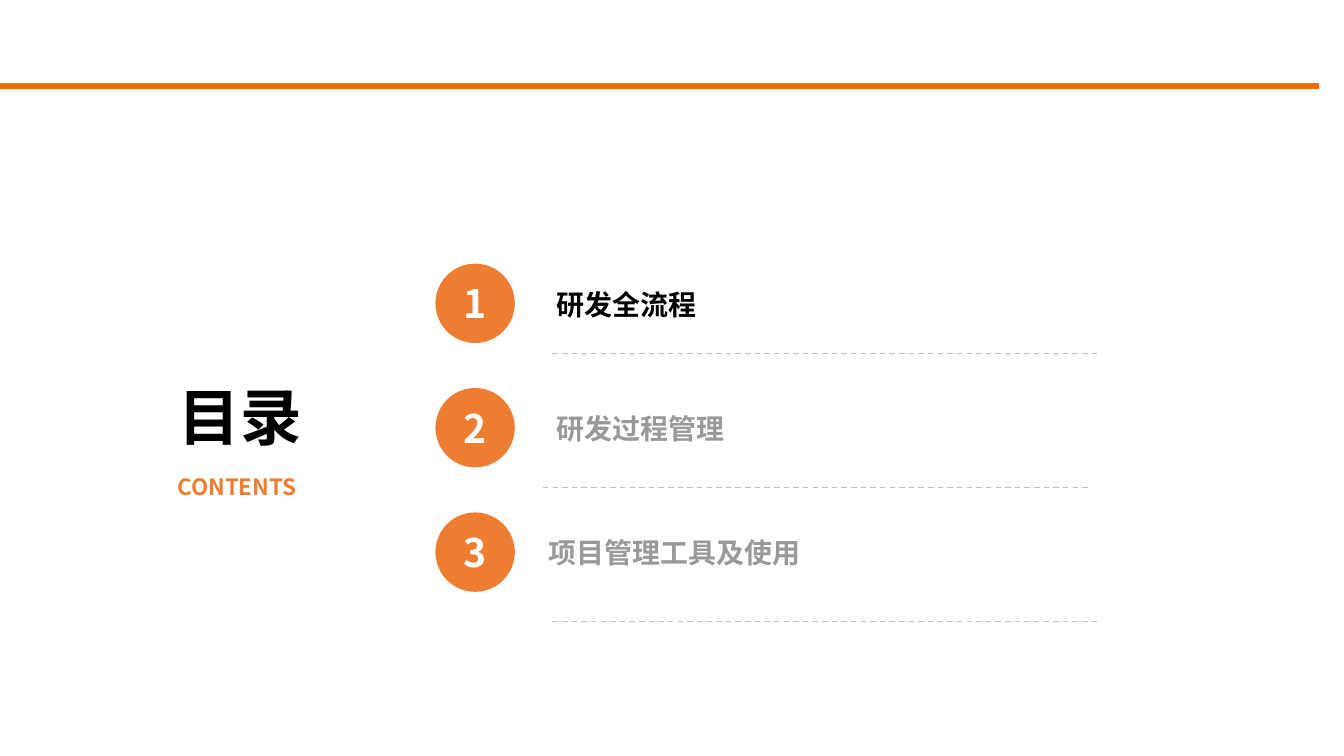
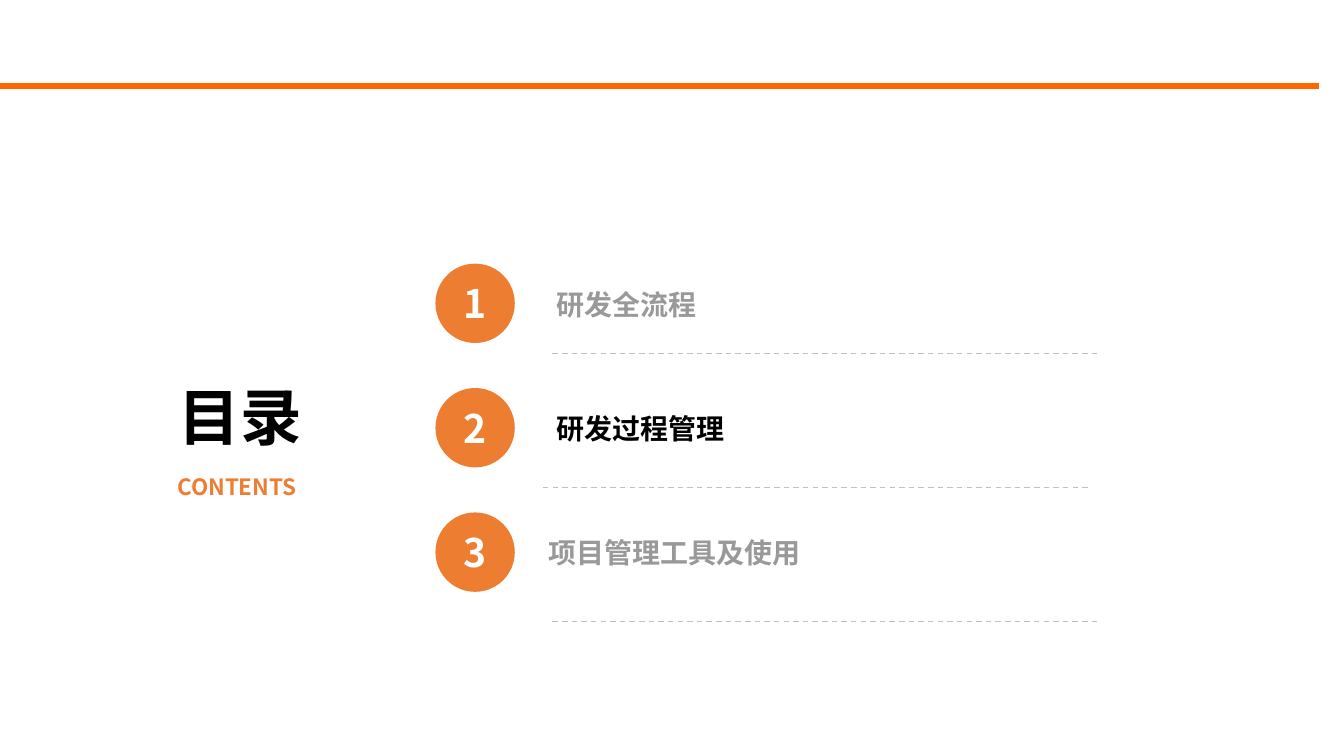
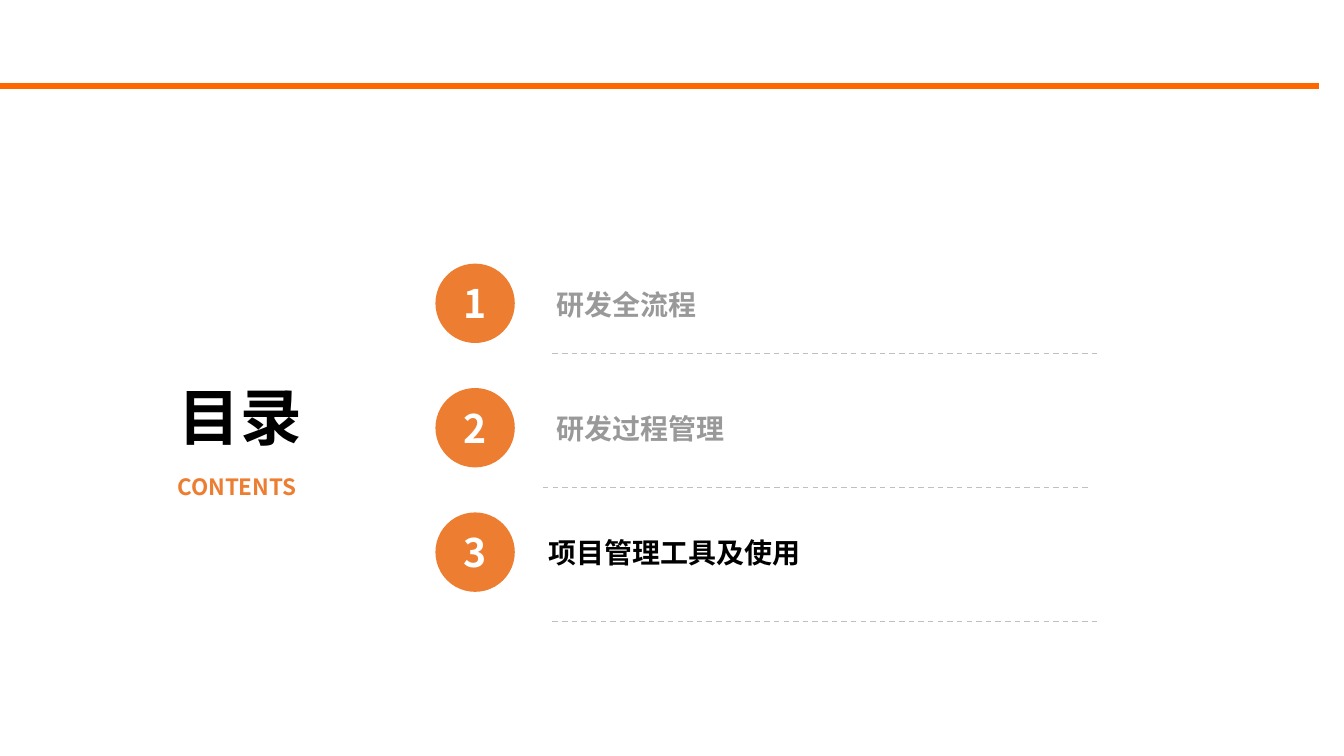
from dataclasses import dataclass

from lxml import etree
from pptx import Presentation
from pptx.dml.color import RGBColor
from pptx.enum import dml, shapes, text
from pptx.oxml.ns import qn
from pptx.slide import Slide
from pptx.text.text import TextFrame
from pptx.util import Cm, Length, Pt

FONT = "Noto Sans CJK SC"
BLACK = RGBColor(0x00, 0x00, 0x00)
WHITE = RGBColor(0xFF, 0xFF, 0xFF)
MUTED = RGBColor(0x99, 0x99, 0x99)
RULE_GREY = RGBColor(0xBF, 0xBF, 0xBF)
ORANGE = RGBColor(0xED, 0x7D, 0x31)
BAND_ORANGE = RGBColor(0xFF, 0x66, 0x00)

INSET = Cm(0.1)
BADGE_LEFT, BADGE_TOP, BADGE_SIZE = Cm(8.23), Cm(4.98), Cm(1.5)
CHAPTER_PITCH = Cm(2.35)
LABEL_DROP, LABEL_HEIGHT = Cm(0.24), Cm(0.94)
RULE_TOP, RULE_PITCH, RULE_WIDTH = Cm(6.68), Cm(2.53), Cm(10.34)


@dataclass(frozen=True)
class Chapter:
    title: str
    label_left: Length
    label_width: Length
    rule_left: Length


@dataclass(frozen=True)
class Style:
    size: Length
    color: RGBColor
    align: text.PP_ALIGN = text.PP_ALIGN.LEFT
    anchor: text.MSO_ANCHOR = text.MSO_ANCHOR.BOTTOM
    line_spacing: float = 1.0
    bottom_inset: Length = INSET


CHAPTERS = (
    Chapter("研发全流程", Cm(10.41), Cm(9.27), Cm(10.44)),
    Chapter("研发过程管理", Cm(10.41), Cm(9.27), Cm(10.26)),
    Chapter("项目管理工具及使用", Cm(10.26), Cm(4.98), Cm(10.44)),
)
HEADING = Style(Pt(33), BLACK, text.PP_ALIGN.CENTER, bottom_inset=Cm(1.38))
SUBHEADING = Style(Pt(12), ORANGE, line_spacing=0.9)
NUMBER = Style(Pt(21), WHITE, text.PP_ALIGN.CENTER, text.MSO_ANCHOR.MIDDLE)
CURRENT = Style(Pt(15), BLACK)
OTHER = Style(Pt(15), MUTED)


def write(frame: TextFrame, words: str, style: Style) -> None:
    frame.word_wrap = True
    frame.vertical_anchor = style.anchor
    frame.margin_left = frame.margin_right = frame.margin_top = INSET
    frame.margin_bottom = style.bottom_inset
    paragraph = frame.paragraphs[0]
    paragraph.text = words
    paragraph.alignment = style.align
    paragraph.line_spacing = style.line_spacing
    font = paragraph.font
    font.name, font.size, font.bold = FONT, style.size, True
    font.color.rgb = style.color
    # Chinese characters take their typeface from a:ea.
    defaults = paragraph._p.pPr.find(qn("a:defRPr"))
    etree.SubElement(defaults, qn("a:ea"), typeface=FONT)


def add_label(slide: Slide, left: Length, top: Length, width: Length,
              height: Length, words: str, style: Style) -> None:
    label = slide.shapes.add_textbox(left, top, width, height)
    write(label.text_frame, words, style)


def add_rule(slide: Slide, left: Length, top: Length, width: Length,
             color: RGBColor, weight: Length, dashed: bool = False) -> None:
    rule = slide.shapes.add_connector(
        shapes.MSO_CONNECTOR.STRAIGHT, left, top, left + width, top)
    rule.line.color.rgb = color
    rule.line.width = weight
    if dashed:
        rule.line.dash_style = dml.MSO_LINE.DASH
    etree.SubElement(rule._element.spPr, qn("a:effectLst"))


def add_badge(slide: Slide, top: Length, number: int) -> None:
    badge = slide.shapes.add_shape(
        shapes.MSO_SHAPE.OVAL, BADGE_LEFT, top, BADGE_SIZE, BADGE_SIZE)
    badge.shadow.inherit = False
    badge.fill.solid()
    badge.fill.fore_color.rgb = ORANGE
    badge.line.fill.background()
    write(badge.text_frame, str(number), NUMBER)


def add_contents_slide(deck: Presentation, current: Chapter) -> None:
    """Add the table of contents with the current chapter in black."""
    slide = deck.slides.add_slide(deck.slide_layouts[6])
    add_rule(slide, Cm(0), Cm(1.63), Cm(24.92), BAND_ORANGE, Pt(3))
    add_label(slide, Cm(1.04), Cm(5.89), Cm(7.01), Cm(4.01), "目录", HEADING)
    add_label(slide, Cm(3.25), Cm(8.86), Cm(2.62), Cm(0.69),
              "CONTENTS", SUBHEADING)
    for index, chapter in enumerate(CHAPTERS):
        top = BADGE_TOP + index * CHAPTER_PITCH
        add_badge(slide, top, index + 1)
        add_label(slide, chapter.label_left, top + LABEL_DROP,
                  chapter.label_width, LABEL_HEIGHT, chapter.title,
                  CURRENT if chapter is current else OTHER)
        add_rule(slide, chapter.rule_left, RULE_TOP + index * RULE_PITCH,
                 RULE_WIDTH, RULE_GREY, Pt(0.75), dashed=True)


def main() -> None:
    deck = Presentation()
    deck.slide_width, deck.slide_height = Cm(25.4), Cm(14.28)
    for chapter in CHAPTERS:
        add_contents_slide(deck, chapter)
    deck.save("out.pptx")


if __name__ == "__main__":
    main()
